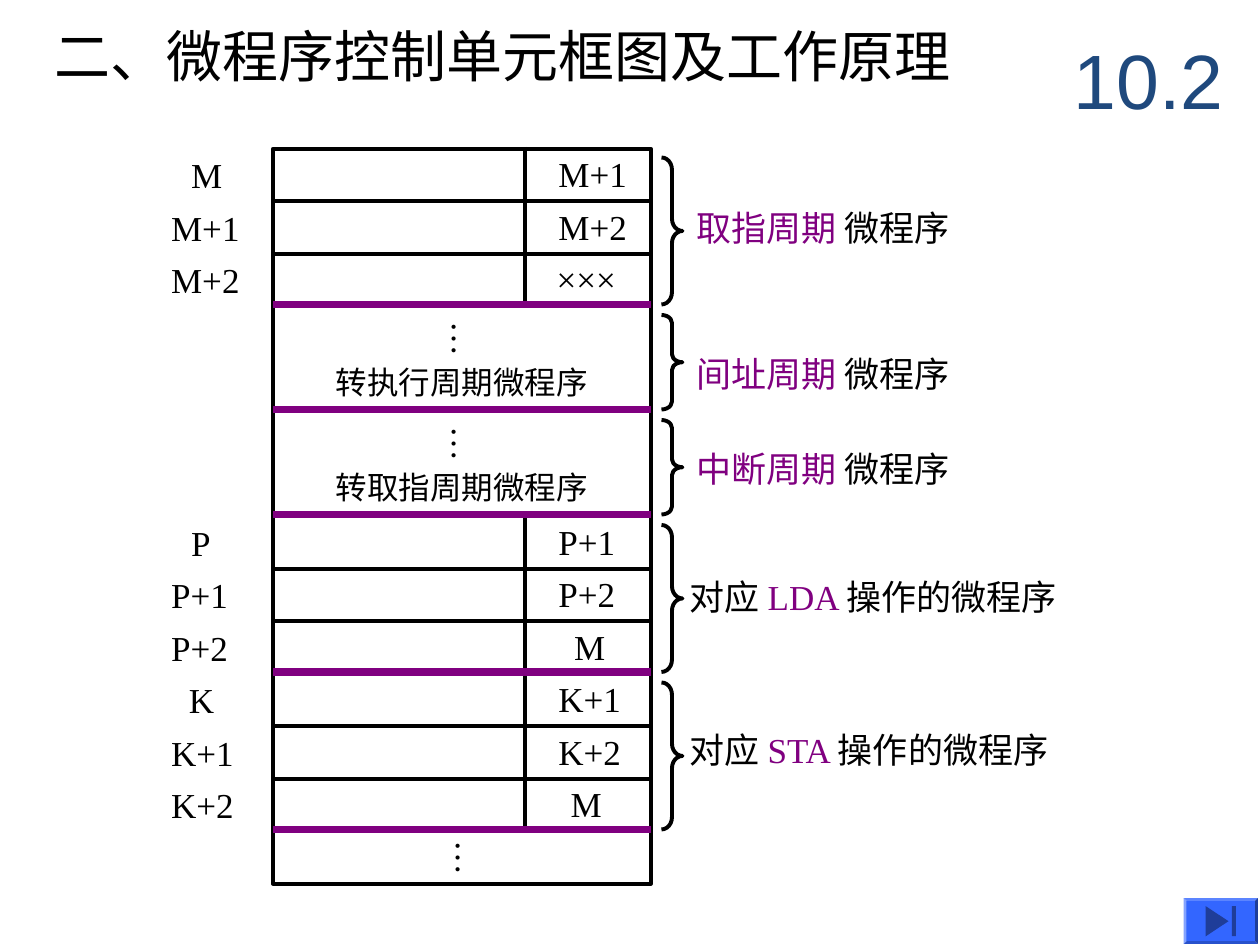
from pptx import Presentation
from pptx.util import Pt
from pptx.dml.color import RGBColor
from pptx.enum.shapes import MSO_SHAPE as Shape, MSO_CONNECTOR as Link
from pptx.enum.text import PP_ALIGN as Align, MSO_ANCHOR as Anchor, MSO_AUTO_SIZE as Fit
from pptx.oxml import parse_xml
from pptx.oxml.ns import nsdecls

BLACK, PURPLE, NAVY = "000000", "800080", "1F497D"
BLUE, DARK = "3366FF", "1F3D99"
LEFT, TOP, WIDE, ROW = 156, 85, 216, 30
RIGHT, SPLIT = LEFT + WIDE, 300


def color(code):
    return RGBColor.from_string(code)


class Page:
    face = "Times New Roman"
    size = 20
    thin = 2.25
    thick = 4.5

    def __init__(self, slide):
        self.shapes = slide.shapes

    def text(self, x, y, w, h, runs, size=size, face=face, wrap=False,
             fit=Fit.SHAPE_TO_FIT_TEXT, anchor=Anchor.TOP, align=Align.LEFT,
             upright=False):
        """Add one line of text; each run is (words, colour)."""
        box = self.shapes.add_textbox(Pt(x), Pt(y), Pt(w), Pt(h))
        frame = box.text_frame
        side, edge = (3.6, 7.2) if upright else (7.2, 3.6)
        look = dict(margin_left=Pt(side), margin_right=Pt(side),
                    margin_top=Pt(edge), margin_bottom=Pt(edge),
                    word_wrap=wrap, auto_size=fit, vertical_anchor=anchor)
        for key, value in look.items():
            setattr(frame, key, value)
        if upright:
            frame._txBody.bodyPr.set("vert", "eaVert")
        para = frame.paragraphs[0]
        para.alignment = align
        if isinstance(runs, str):
            runs = [(runs, BLACK)]
        for words, code in runs:
            run = para.add_run()
            run.text = words
            for key, value in dict(name=face, size=Pt(size)).items():
                setattr(run.font, key, value)
            run.font.color.rgb = color(code)

    def paint(self, shape, fill=None, line=None):
        shape.shadow.inherit = False
        if fill:
            shape.fill.solid()
            shape.fill.fore_color.rgb = color(fill)
        else:
            shape.fill.background()
        if line:
            shape.line.color.rgb = color(line)
            shape.line.width = Pt(self.thin)
        else:
            shape.line.fill.background()

    def shape(self, kind, x, y, w, h, fill=None, line=None, adjust=()):
        item = self.shapes.add_shape(kind, Pt(x), Pt(y), Pt(w), Pt(h))
        for i, value in enumerate(adjust):
            item.adjustments[i] = value
        self.paint(item, fill, line)

    def line(self, x1, y1, x2, y2, code=BLACK, width=thin):
        item = self.shapes.add_connector(Link.STRAIGHT, Pt(x1), Pt(y1), Pt(x2), Pt(y2))
        item.line.color.rgb = color(code)
        item.line.width = Pt(width)
        item._element.spPr.append(parse_xml(f"<a:effectLst {nsdecls('a')}/>"))

    def poly(self, points, fill):
        first, *rest = [(Pt(x), Pt(y)) for x, y in points]
        form = self.shapes.build_freeform(*first)
        form.add_line_segments(rest, close=True)
        self.paint(form.convert_to_shape(), fill)

    def dots(self, x, y):
        self.text(x, y, 38, 27.5, "…", upright=True)


def table(page):
    """Draw the memory grid with its thick section rules."""
    for row in (0, 1, 2, 7, 8, 9, 10, 11, 12, 13):
        page.shape(Shape.RECTANGLE, LEFT, TOP + ROW * row, WIDE, ROW, line=BLACK)
    for x in (LEFT, RIGHT):
        page.line(x, 175, x, 295)
    page.line(LEFT, 235, RIGHT, 235)
    page.line(SPLIT, 84, SPLIT, 174)
    page.line(SPLIT, 294, SPLIT, 475)
    for row in (3, 5, 7, 10, 13):
        y = 84 + ROW * row
        page.line(LEFT, y, RIGHT, y, PURPLE, page.thick)


def labels(page):
    """Write the address left of each row and the next address inside it."""
    rows = [
        (0, "M", 102.2, 34, "M+1", 312, 56),
        (1, "M+1", 90.7, 56, "M+2", 312, 56),
        (2, "M+2", 90.7, 56, "×××", 311, 54),
        (7, "P", 102.2, 28, "P+1", 312, 50),
        (8, "P+1", 90.7, 50, "P+2", 312, 50),
        (9, "P+2", 90.7, 50, "M", 321, 34),
        (10, "K", 100.8, 31, "K+1", 312, 53),
        (11, "K+1", 90.7, 53, "K+2", 312, 53),
        (12, "K+2", 90.7, 53, "M", 319, 34),
    ]
    for row, name, x, w, goal, gx, gw in rows:
        y = ROW * row
        page.text(x, 84.4 + y, w, 31.5, name)
        page.text(gx, 83.6 + y, gw, 31.5, goal)
    for y, words in ((180, "转执行周期微程序"), (240, "转取指周期微程序")):
        page.dots(244, y - 3.4)
        page.text(LEFT, y + 24, WIDE, 29, words, size=18, wrap=True, align=Align.CENTER)
    page.dots(246.3, 473.2)


def notes(page):
    """Brace each section and name its microprogram."""
    def cycle(name):
        return [(name + " ", PURPLE), ("微程序", BLACK)]

    def order(name):
        return [("对应 ", BLACK), (name + " ", PURPLE), ("操作的微程序", BLACK)]

    parts = [
        (0, 3, 391, 114.5, 162, cycle("取指周期")),
        (3, 5, 391, 198, 162, cycle("间址周期")),
        (5, 7, 391, 252, 162, cycle("中断周期")),
        (7, 10, 387, 325.5, 240, order("LDA")),
        (10, 13, 387, 412.8, 240, order("STA")),
    ]
    for start, end, x, y, w, runs in parts:
        tall = ROW * (end - start) - 6
        page.shape(Shape.RIGHT_BRACE, 378, 90 + ROW * start, 12, tall,
                   line=BLACK, adjust=(tall / 144, 0.5))
        page.text(x, y, w, 31.5, runs)


def button(page):
    page.shape(Shape.BEVEL, 676.4, 513.2, 42.4, 26.2, fill=BLUE, adjust=(0.06,))
    page.poly([(702, 526.4), (689, 535), (689, 517.8)], DARK)
    page.shape(Shape.RECTANGLE, 704, 517.8, 2.2, 17.2, fill=DARK)


def main():
    deck = Presentation()
    deck.slide_width, deck.slide_height = Pt(720), Pt(540)
    page = Page(deck.slides.add_slide(deck.slide_layouts[6]))
    page.text(24, 8.6, 576, 46, "二、微程序控制单元框图及工作原理", size=32, wrap=True)
    table(page)
    labels(page)
    notes(page)
    page.text(606.5, 12, 114, 66, [("10.2", NAVY)], size=44, face="Arial",
              wrap=True, fit=Fit.NONE, anchor=Anchor.MIDDLE)
    button(page)
    deck.save("out.pptx")


if __name__ == "__main__":
    main()
